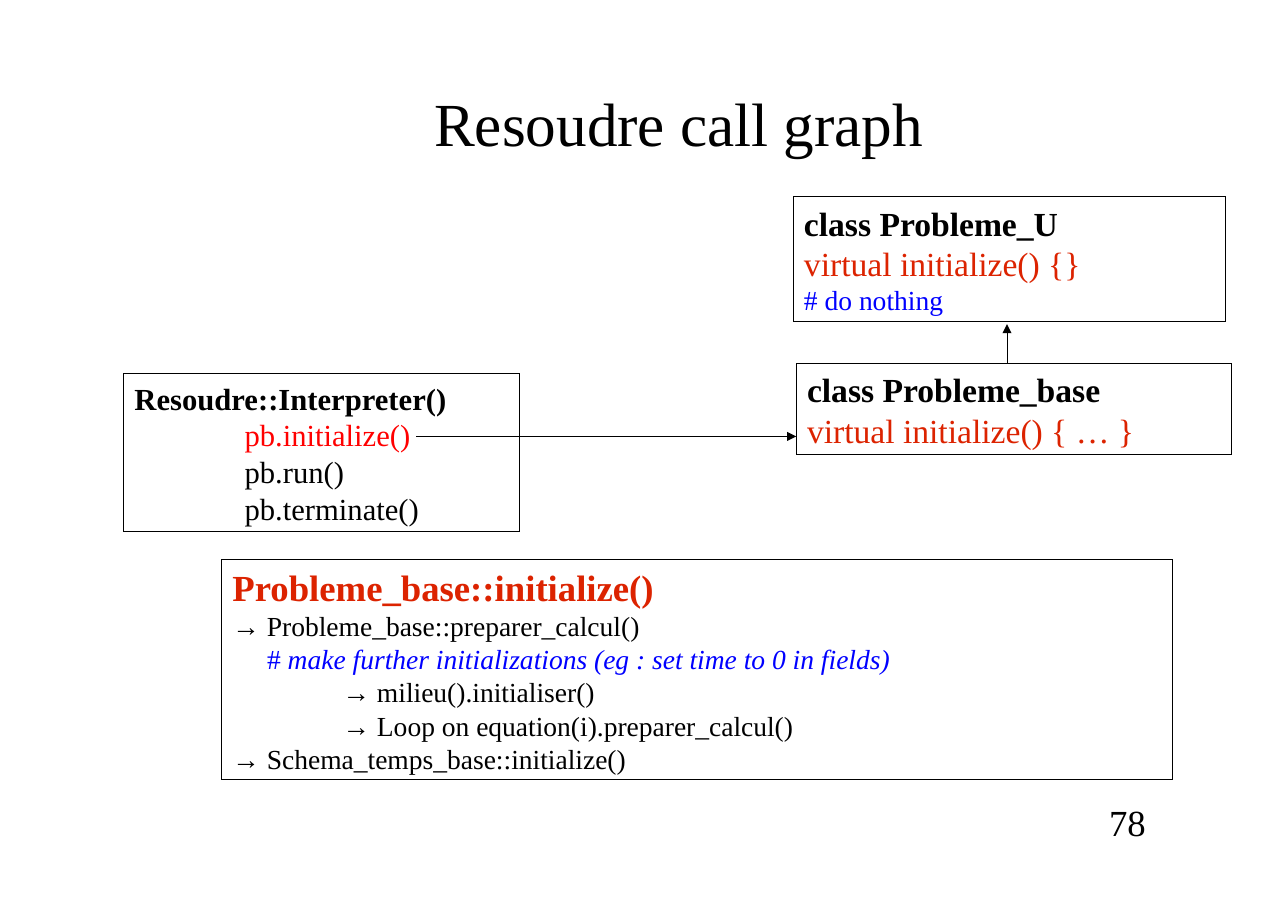
import pptx
import pptx.util
import pptx.dml.color
import pptx.enum.shapes
import pptx.enum.text
import pptx.oxml
import pptx.oxml.ns

Cm, Pt = pptx.util.Cm, pptx.util.Pt
RGBColor = pptx.dml.color.RGBColor
ALIGN = pptx.enum.text.PP_ALIGN
ANCHOR = pptx.enum.text.MSO_ANCHOR

FONT = "Times New Roman"
BLACK = RGBColor(0x00, 0x00, 0x00)
WHITE = RGBColor(0xFF, 0xFF, 0xFF)
RED = RGBColor(0xFF, 0x00, 0x00)
BRICK = RGBColor(0xDC, 0x23, 0x00)
BLUE = RGBColor(0x00, 0x00, 0xFF)
CALL = 2.54  # indent of a nested call, in cm
NOTE = 0.8   # indent of a remark under an arrow, in cm


def run(text, size, color=BLACK, bold=False, italic=False):
    """Describe one run of text."""
    return text, size, color, bold, italic


def line(*runs, indent=0):
    """Describe one paragraph: its indent in cm and its runs."""
    return indent, runs


def write(frame, lines, align=ALIGN.LEFT, anchor=ANCHOR.TOP):
    """Fill a text frame with paragraphs, run by run."""
    frame.word_wrap = True
    frame.vertical_anchor = anchor
    frame.margin_left = frame.margin_right = Cm(0.25)
    frame.margin_top = frame.margin_bottom = Cm(0.13)
    for i, (indent, runs) in enumerate(lines):
        para = frame.add_paragraph() if i else frame.paragraphs[0]
        para.alignment = align
        if indent:
            para._p.get_or_add_pPr().set("marL", str(Cm(indent)))
        for text, size, color, bold, italic in runs:
            part = para.add_run()
            part.text = text
            font = part.font
            font.name, font.size = FONT, Pt(size)
            font.bold, font.italic = bold, italic
            font.color.rgb = color


def hair(shape):
    """Give a shape a black hairline and return its line element."""
    shape.line.color.rgb = BLACK
    edge = shape.line._get_or_add_ln()
    edge.set("w", "0")  # line.width drops a zero, so the theme width would win
    return edge


def label(slide, area, text, size, align):
    """Add a plain line of text, centred in height."""
    box = slide.shapes.add_textbox(*map(Cm, area))
    write(box.text_frame, [line(run(text, size))], align, ANCHOR.MIDDLE)


def frame(slide, area, lines, fill=None):
    """Add a box with a hairline border and left-aligned text."""
    kind = pptx.enum.shapes.MSO_SHAPE.RECTANGLE
    box = slide.shapes.add_shape(kind, *map(Cm, area))
    box.shadow.inherit = False
    if fill is None:
        box.fill.background()
    else:
        box.fill.solid()
        box.fill.fore_color.rgb = fill
    hair(box)
    write(box.text_frame, lines)


def arrow(slide, start, end):
    """Add a hairline arrow between two points in cm."""
    kind = pptx.enum.shapes.MSO_CONNECTOR.STRAIGHT
    link = slide.shapes.add_connector(kind, *map(Cm, start + end))
    space = pptx.oxml.ns.nsdecls("a")
    head = pptx.oxml.parse_xml(f'<a:tailEnd {space} type="triangle"/>')
    hair(link).append(head)
    link._element.spPr.append(pptx.oxml.parse_xml(f"<a:effectLst {space}/>"))


def main():
    """Build the slide and save it."""
    deck = pptx.Presentation()
    deck.slide_width, deck.slide_height = Cm(29.7), Cm(21)
    slide = deck.slides.add_slide(deck.slide_layouts[6])

    frame(slide, (2.85, 8.62, 9.14, 3.63), [
        line(run("Resoudre::Interpreter()", 20, bold=True)),
        line(run("pb.initialize()", 20, RED), indent=CALL),
        line(run("pb.run()", 20), indent=CALL),
        line(run("pb.terminate()", 20), indent=CALL),
    ], WHITE)
    label(slide, (4.22, 1.11, 22.86, 3.4), "Resoudre call graph", 40, ALIGN.CENTER)
    frame(slide, (18.29, 4.54, 9.96, 2.87), [
        line(run("class Probleme_U", 22, bold=True)),
        line(run("virtual initialize() {}", 22, BRICK)),
        line(run("# do nothing", 18, BLUE)),
    ])
    frame(slide, (18.36, 8.38, 10.03, 2.11), [
        line(run("class Probleme_base", 22, bold=True)),
        line(run("virtual initialize() { … }", 22, BRICK)),
    ])
    arrow(slide, (9.6, 10.06), (18.36, 10.06))
    arrow(slide, (23.22, 8.38), (23.22, 7.47))

    step = run("→ ", 18, bold=True)
    remark = "make further initializations (eg\u00a0: set time to 0 in fields)"
    frame(slide, (5.11, 12.9, 21.92, 5.08), [
        line(run("Probleme_base::initialize()", 24, BRICK, bold=True)),
        line(step, run("Probleme_base::preparer_calcul()", 18)),
        line(run("# ", 18, BLUE), run(remark, 18, BLUE, italic=True), indent=NOTE),
        line(run("→ milieu().initialiser()", 18), indent=CALL),
        line(run("→ Loop on equation(i).preparer_calcul()", 18), indent=CALL),
        line(run("→ Schema_temps_base::initialize()", 18)),
    ])
    label(slide, (24.56, 18.31, 2.11, 1.27), "78", 24, ALIGN.RIGHT)
    deck.save("out.pptx")


main()
